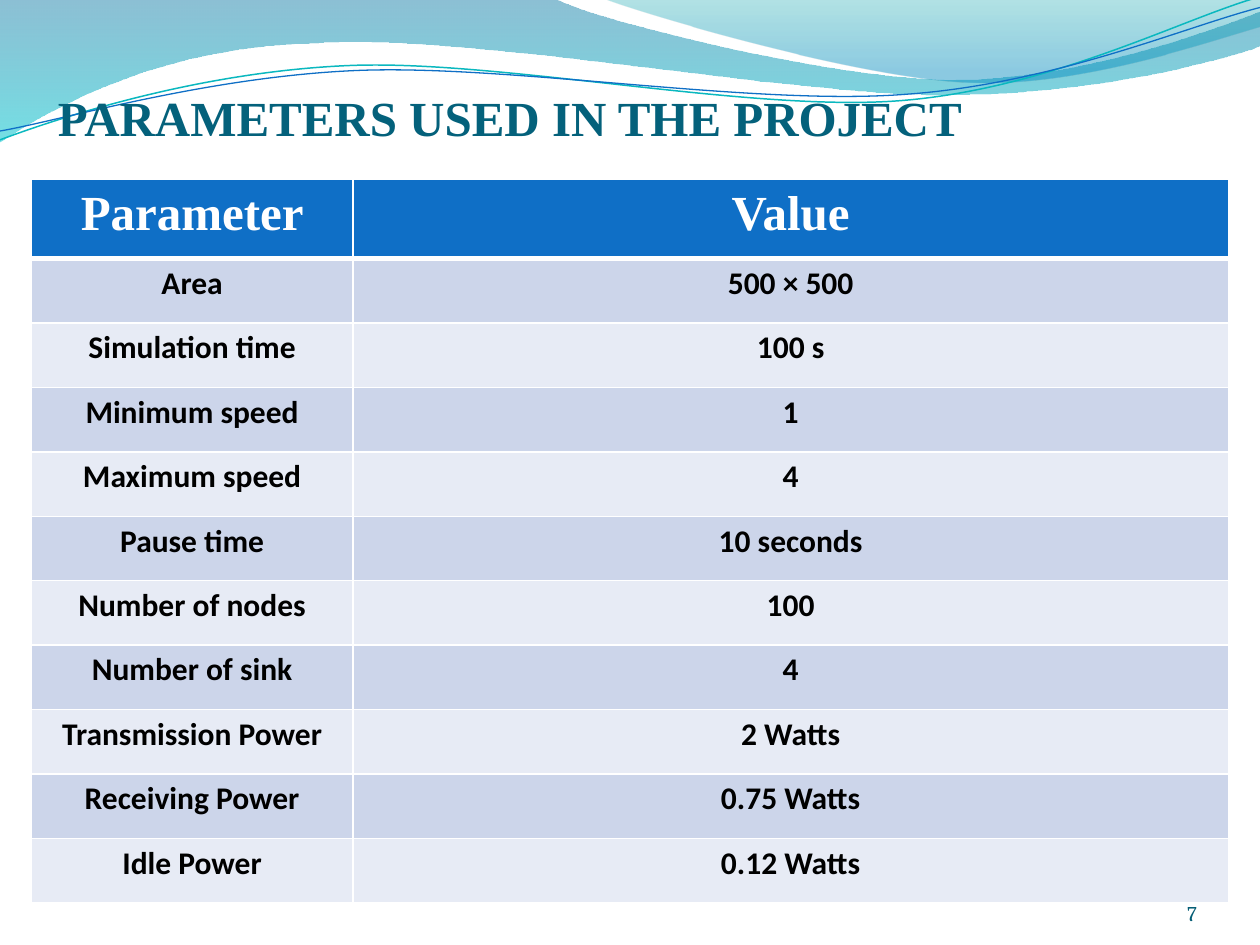
from math import cos, radians, sin

from lxml.etree import SubElement
from pptx import Presentation
from pptx.dml.color import RGBColor
from pptx.enum.text import MSO_ANCHOR, PP_ALIGN
from pptx.oxml.ns import qn
from pptx.util import Inches, Pt

COLORS = {
    "white": "FFFFFF", "black": "000000", "title": "04617B", "number": "045D75",
    "header": "0F6FC6", "odd_row": "CCD5EA", "even_row": "E7EBF5",
    "deep_blue": "0074A1", "aqua": "00C6CF", "teal": "00A1A9",
    "sky": "008BBF", "teal_line": "0AB8BF", "blue_line": "0F6FC6",
}
HEADING_FONT, BODY_FONT, NUMBER_FONT = "Times New Roman", "Calibri", "Cambria"
LINE_TILT = 2.7


def rgb(name):
    return RGBColor.from_string(COLORS[name])


def turn(point, center, degrees):
    """Turn a point clockwise about a center."""
    x, y = point[0] - center[0], point[1] - center[1]
    cosine, sine = cos(radians(degrees)), sin(radians(degrees))
    return center[0] + x * cosine - y * sine, center[1] + x * sine + y * cosine


class SlideBuilder:
    def __init__(self, slide):
        self.slide = slide

    def style(self, paragraph, font, size, color, bold=False, align=PP_ALIGN.LEFT):
        paragraph.alignment = align
        paragraph.font.name, paragraph.font.size = font, Pt(size)
        paragraph.font.bold = bold
        paragraph.font.color.rgb = rgb(color)

    def outline(self, start, segments, closed, tilt=0, center=(0, 0)):
        """Draw line ends (2 numbers) and cubic curves (6 numbers)."""
        points = [start]
        for segment in segments:
            points.extend(zip(segment[::2], segment[1::2]))
        points = [tuple(map(Inches, turn(point, center, tilt))) for point in points]
        builder = self.slide.shapes.build_freeform(*points[0], scale=1.0)
        builder.add_line_segments(points[1:], close=closed)
        shape = builder.convert_to_shape()
        shape.shadow.inherit = False
        shape.rotation = -tilt
        # Join each three control points into one curve
        steps = iter(list(shape.element.spPr.iter(qn("a:lnTo"))))
        for segment in segments:
            step = next(steps)
            if len(segment) == 6:
                curve = SubElement(step.getparent(), qn("a:cubicBezTo"))
                step.addprevious(curve)
                for part in (step, next(steps), next(steps)):
                    curve.append(part[0])
                    part.getparent().remove(part)
        return shape

    def wave(self, start, segments, stops):
        shape = self.outline(start, segments, True)
        shape.line.fill.background()
        shape.fill.gradient()
        shape.fill.gradient_angle = 270
        for stop, (position, color, _) in zip(shape.fill.gradient_stops, stops):
            stop.position = position
            stop.color.rgb = rgb(color)
        for element, (_, _, opacity) in zip(shape.element.spPr.iter(qn("a:srgbClr")), stops):
            SubElement(element, qn("a:alpha"), val=str(opacity * 1000))

    def curve(self, start, segments, center, color, width):
        shape = self.outline(start, segments, False, LINE_TILT, center)
        shape.fill.background()
        shape.line.color.rgb = rgb(color)
        shape.line.width = Pt(width)

    def text(self, words, box, margins, *style, **options):
        frame = self.slide.shapes.add_textbox(*map(Inches, box)).text_frame
        frame.word_wrap = True
        frame.vertical_anchor = MSO_ANCHOR.BOTTOM
        (frame.margin_left, frame.margin_top,
         frame.margin_right, frame.margin_bottom) = map(Inches, margins)
        frame.text = words
        self.style(frame.paragraphs[0], *style, **options)

    def borders(self, cell, bottom):
        properties = cell._tc.get_or_add_tcPr()
        for side, width in (("L", 1), ("R", 1), ("T", 1), ("B", bottom)):
            line = SubElement(properties, qn(f"a:ln{side}"), w=str(Pt(width)))
            fill = SubElement(line, qn("a:solidFill"))
            SubElement(fill, qn("a:srgbClr"), val=COLORS["white"])

    def table(self, rows, box, column_widths, header_height):
        table = self.slide.shapes.add_table(len(rows), len(column_widths), *map(Inches, box)).table
        for column, width in zip(table.columns, column_widths):
            column.width = Inches(width)
        row_height = (box[3] - header_height) / (len(rows) - 1)
        for index, values in enumerate(rows):
            header = index == 0
            table.rows[index].height = Inches(header_height if header else row_height)
            fill = "header" if header else "odd_row" if index % 2 else "even_row"
            style = (HEADING_FONT, 28, "white") if header else (BODY_FONT, 18, "black")
            for cell, value in zip(table.rows[index].cells, values):
                cell.text = value
                cell.margin_left = cell.margin_right = Inches(0.07)
                cell.margin_top = cell.margin_bottom = 0
                self.borders(cell, 3 if header else 1)
                cell.fill.solid()
                cell.fill.fore_color.rgb = rgb(fill)
                paragraph = cell.text_frame.paragraphs[0]
                paragraph.line_spacing = 1.15
                self.style(paragraph, *style, bold=True, align=PP_ALIGN.CENTER)


presentation = Presentation()
presentation.slide_width, presentation.slide_height = Inches(10), Inches(7.5)
builder = SlideBuilder(presentation.slides.add_slide(presentation.slide_layouts[6]))

# Waves along the top edge
builder.wave((0, 0), [
    (4.4, -0.01), (4.76, 0.17, 6.64, 0.63, 7.58, 0.63), (8.53, 0.63, 9.58, 0.26, 10, 0.09),
    (10.01, 0.36), (9.83, 0.44, 8.7, 0.76, 7.46, 0.75), (6.22, 0.75, 3.82, 0.28, 2.57, 0.34),
    (1.29, 0.36, 0.46, 0.83, -0.01, 1.13),
], [(0, "deep_blue", 45), (1, "aqua", 55)])
builder.wave((4.79, -0.01), [
    (5.09, 0.11, 6.82, 0.62, 7.69, 0.65), (8.56, 0.69, 9.61, 0.32, 10, 0.21), (10, 0),
], [(0, "teal", 30), (0.8, "sky", 45)])
builder.curve((0, 1.11), [
    (0.48, 0.93, 1.58, 0.57, 2.77, 0.52), (3.95, 0.47, 5.93, 0.89, 7.13, 0.8),
    (8.33, 0.71, 9.38, 0.15, 9.98, -0.02),
], (4.99, 0.58), "teal_line", 0.85)
builder.curve((0, 1.04), [
    (0.47, 0.96, 1.64, 0.61, 2.83, 0.56), (4.03, 0.51, 5.97, 0.84, 7.17, 0.75),
    (8.36, 0.67, 9.41, 0.21, 10, 0.06),
], (5, 0.59), "blue_line", 0.75)

# Title and slide number
builder.text("PARAMETERS USED IN THE PROJECT", (0.17, 0.58, 9.08, 0.58), (0.29, 0.05, 0, 0),
             HEADING_FONT, 28, "title", bold=True)
builder.text("7", (8.67, 6.95, 0.83, 0.4), (0, 0, 0, 0),
             NUMBER_FONT, 12, "number", align=PP_ALIGN.RIGHT)

# Parameter table
builder.table([
    ("Parameter", "Value"),
    ("Area", "500 × 500"),
    ("Simulation time", "100 s"),
    ("Minimum speed", "1"),
    ("Maximum speed", "4"),
    ("Pause time", "10 seconds"),
    ("Number of nodes", "100"),
    ("Number of sink", "4"),
    ("Transmission Power", "2 Watts"),
    ("Receiving Power", "0.75 Watts"),
    ("Idle Power", "0.12 Watts"),
], (0.25, 1.42, 9.5, 5.75), (2.55, 6.95), 0.63)

presentation.save("out.pptx")
